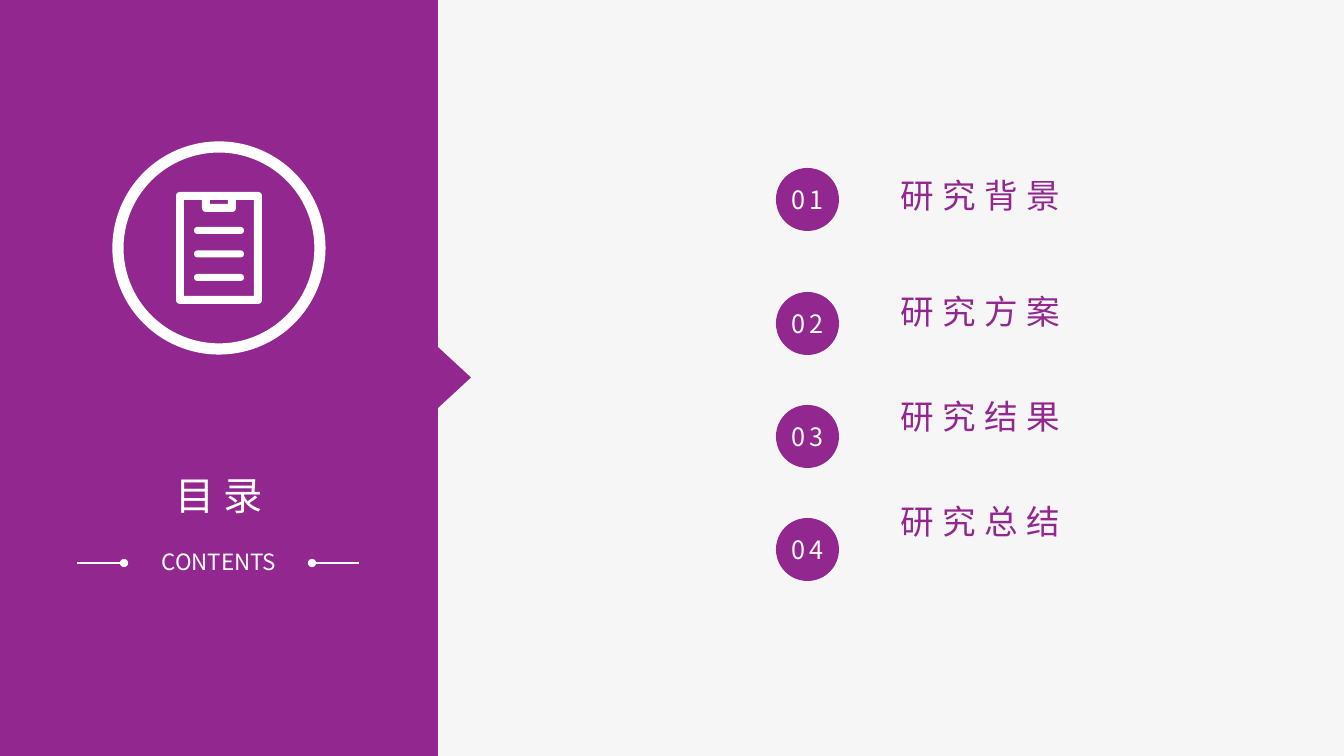
from math import cos, radians, sin

from lxml.etree import SubElement as Sub
from pptx import Presentation
from pptx.dml.color import RGBColor as RGB
from pptx.enum.shapes import MSO_CONNECTOR as Link, MSO_SHAPE as Kind
from pptx.enum.text import MSO_ANCHOR as Anchor, MSO_AUTO_SIZE as Auto, PP_ALIGN as Align
from pptx.oxml.ns import qn
from pptx.util import Pt

PX = 914400 / 100.8
FONT = "Noto Sans CJK SC"
COLORS = {"purple": "92278F", "white": "FFFFFF", "back": "F6F6F6"}
TOPICS = [
    (168, 0, "研究背景"),
    (292, 54, "研究方案"),
    (405, 46, "研究结果"),
    (518, 46, "研究总结"),
]


def emu(*nums):
    return [round(n * PX) for n in nums]


def tint(name):
    return RGB.from_string(COLORS[name])


def paint(shape, color):
    shape.shadow.inherit = False
    shape.fill.solid()
    shape.fill.fore_color.rgb = tint(color)
    shape.line.fill.background()


def block(slide, kind, box, color):
    shape = slide.shapes.add_shape(kind, *emu(*box))
    paint(shape, color)
    return shape


def write(para, text, size, color, gap=0, align=Align.CENTER):
    para.alignment = align
    run = para.add_run()
    run.text = text
    run.font.size = Pt(size)
    run.font.name = FONT
    run.font.color.rgb = tint(color)
    props = run._r.get_or_add_rPr()
    Sub(props, qn("a:ea"), typeface=FONT)
    if gap:
        props.set("spc", str(gap * 100))


def frame(shape, anchor=Anchor.MIDDLE):
    text = shape.text_frame
    text.word_wrap = True
    text.auto_size = Auto.NONE
    text.vertical_anchor = anchor
    return text


def place(shape, box):
    shape.left, shape.top, shape.width, shape.height = emu(*box)
    shape._element.getparent().append(shape._element)


def arc(x, y, r, start):
    turns = [radians(start + step) for step in range(0, 91, 15)]
    return [(x + r * cos(t), y + r * sin(t)) for t in turns]


def pill(x, y, w, h, r):
    return (arc(x + w - r, y + h - r, r, 0) + arc(x + r, y + h - r, r, 90)
            + arc(x + r, y + r, r, 180) + arc(x + w - r, y + r, r, 270))


def icon(slide):
    page = [(184, 200), (184, 296), (254, 296), (254, 200), (236, 200)]
    page += arc(232, 208, 4, 0) + arc(206, 208, 4, 90) + [(202, 200)]
    hole = [(210, 200), (228, 200), (228, 204), (210, 204)]
    loops = [pill(176, 192, 86, 112, 4), page, hole]
    loops += [pill(194, 227 + 23.5 * row, 50, 7, 3.5) for row in range(3)]
    pen = slide.shapes.build_freeform(*emu(*loops[0][0]))
    for loop in loops:
        pen.move_to(*emu(*loop[0]))
        pen.add_line_segments([emu(*point) for point in loop[1:]], close=True)
    paint(pen.convert_to_shape(), "white")


def rule(slide, start, end):
    line = slide.shapes.add_connector(Link.STRAIGHT, *emu(start, 563, end, 563))
    line.line.color.rgb = tint("white")
    line.line.width = Pt(1)
    Sub(line.line._get_or_add_ln(), qn("a:tailEnd"), type="oval")
    Sub(line._element.spPr, qn("a:effectLst"))


def panel(slide):
    block(slide, Kind.RECTANGLE, (0, 0, 438, 756), "purple")
    block(slide, Kind.ISOSCELES_TRIANGLE, (424, 361, 61, 33), "purple").rotation = 90
    ring = slide.shapes.add_shape(Kind.OVAL, *emu(118, 147, 202, 202))
    ring.shadow.inherit = False
    ring.fill.background()
    ring.line.color.rgb = tint("white")
    ring.line.width = Pt(8)
    icon(slide)
    title = slide.shapes.title
    place(title, (124, 462, 190, 66))
    write(frame(title).paragraphs[0], "目录", 28, "white", 6)
    label = slide.shapes.add_textbox(*emu(94, 541, 250, 42))
    write(frame(label).paragraphs[0], "CONTENTS", 16, "white")
    rule(slide, 77, 124)
    rule(slide, 359, 312)


def badge(slide, top, num):
    text = frame(block(slide, Kind.OVAL, (776, top, 63, 63), "purple"))
    text.margin_left = text.margin_right = 0
    write(text.paragraphs[0], f"{num:02}", 18, "white", 3)


def topics(slide):
    body = slide.placeholders[1]
    place(body, (890, 170, 218, 410))
    text = frame(body, Anchor.TOP)
    for num, (top, space, name) in enumerate(TOPICS, 1):
        badge(slide, top, num)
        para = text.paragraphs[0] if num == 1 else text.add_paragraph()
        props = para._p.get_or_add_pPr()
        props.set("marL", "0")
        props.set("indent", "0")
        Sub(props, qn("a:buNone"))
        para.space_before = Pt(space)
        write(para, name, 24, "purple", 6, Align.JUSTIFY)


def main():
    deck = Presentation()
    deck.slide_width, deck.slide_height = emu(1344, 756)
    slide = deck.slides.add_slide(deck.slide_layouts[1])
    slide.background.fill.solid()
    slide.background.fill.fore_color.rgb = tint("back")
    panel(slide)
    topics(slide)
    deck.save("out.pptx")


if __name__ == "__main__":
    main()
